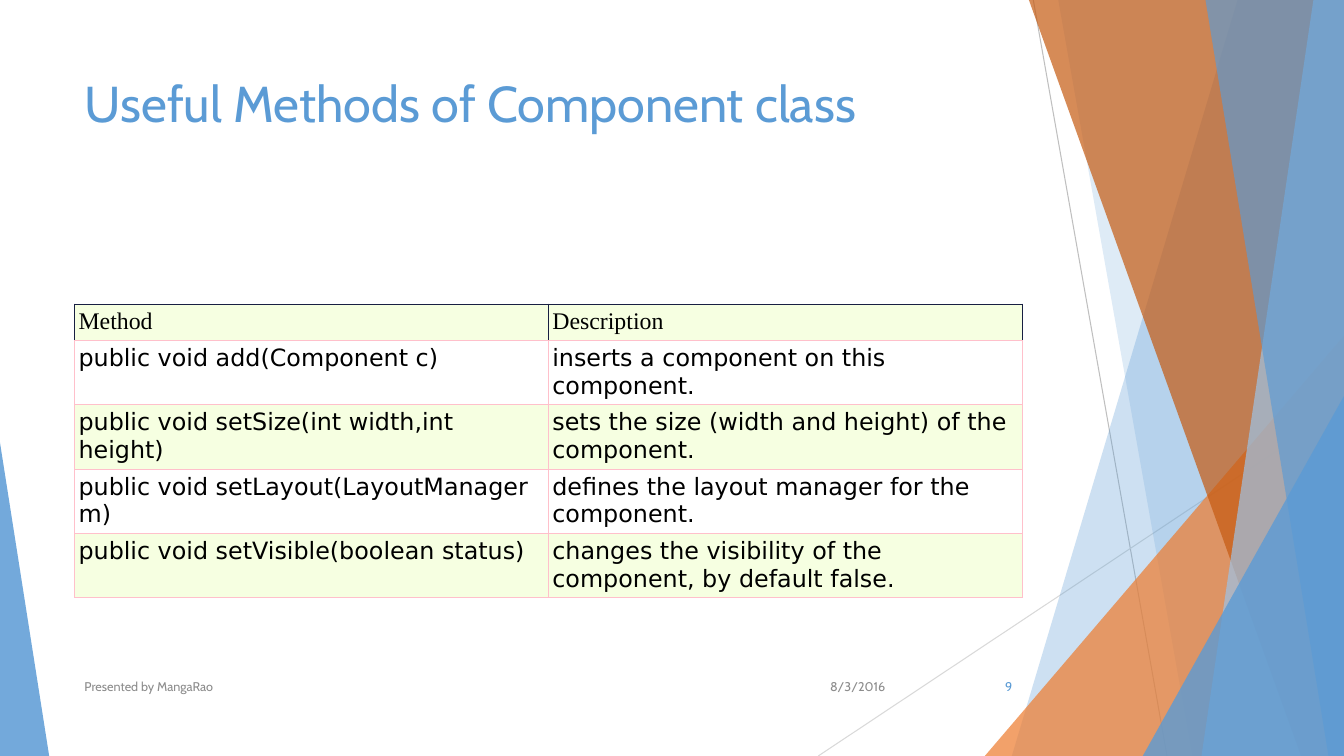
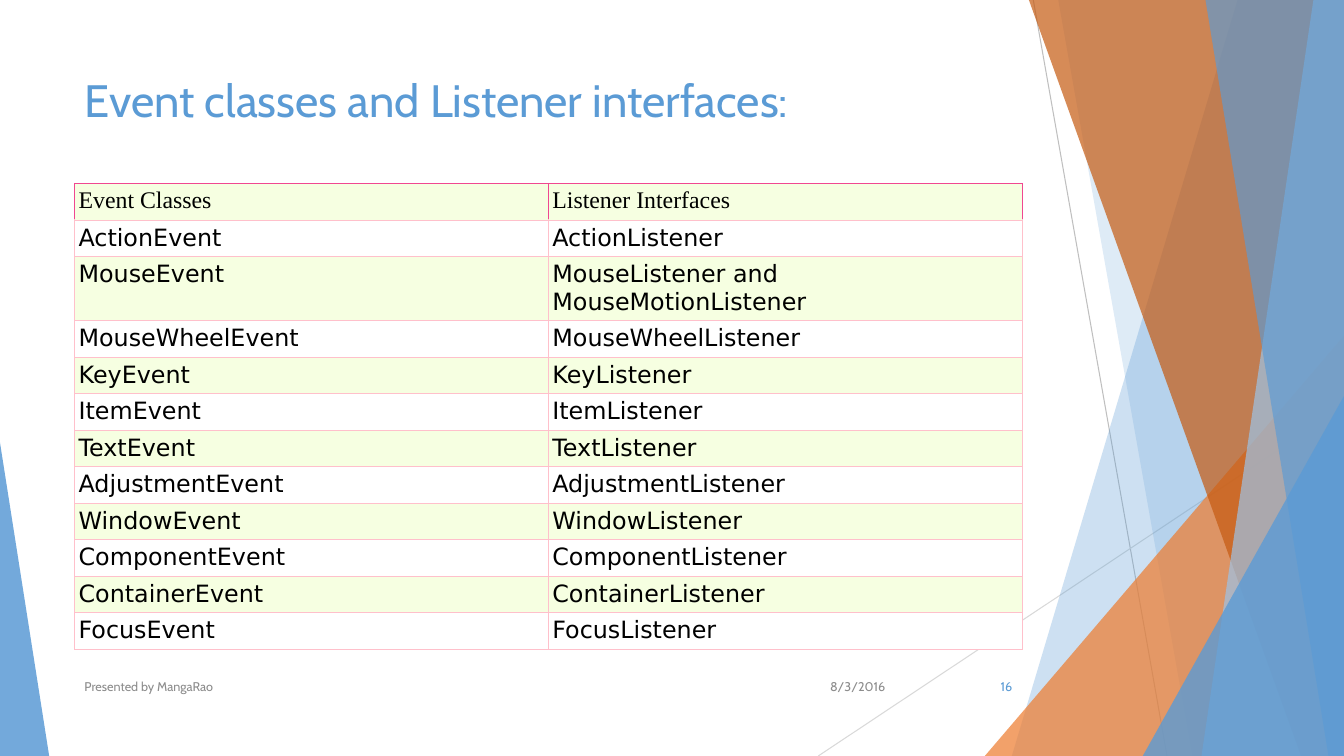
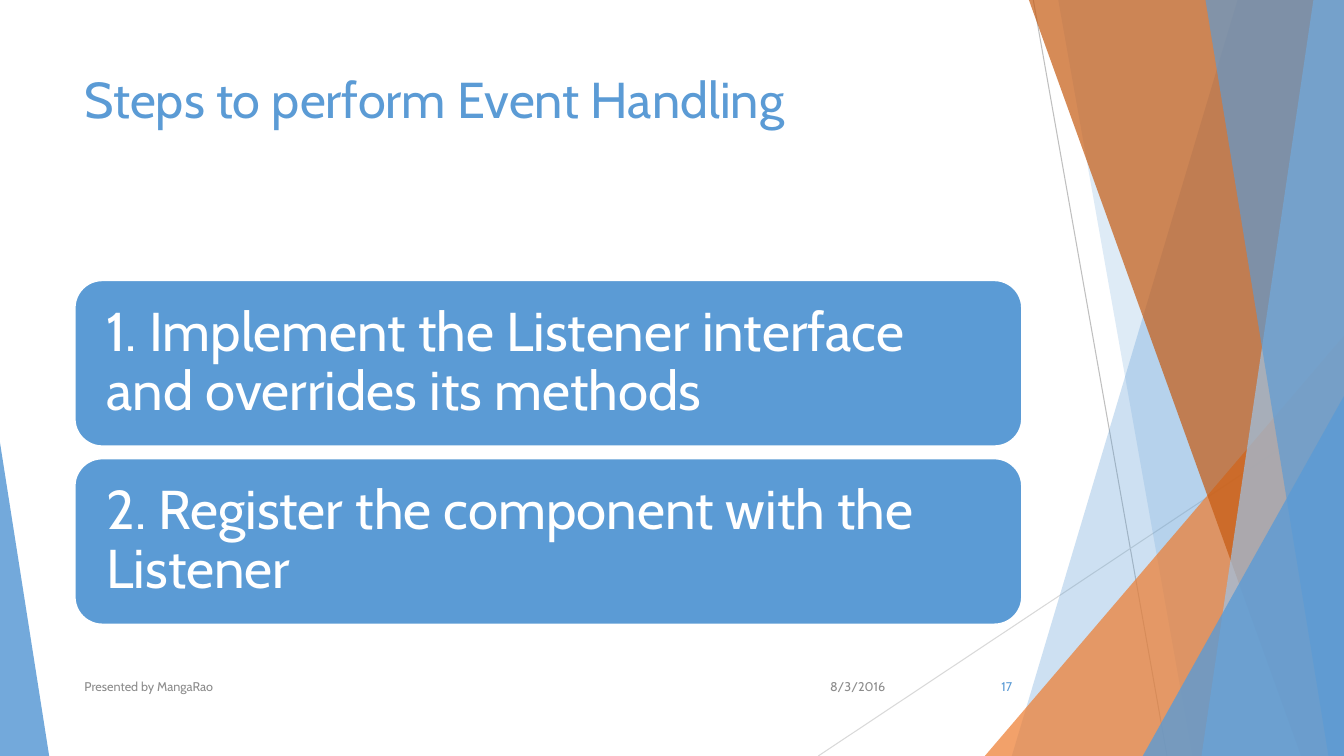
import pptx
import pptx.dml.color
import pptx.enum.shapes
import pptx.enum.text
import pptx.oxml.ns
import pptx.util
from lxml import etree

Cm = pptx.util.Cm
Pt = pptx.util.Pt
qn = pptx.oxml.ns.qn
SHAPE = pptx.enum.shapes.MSO_SHAPE
ALIGN = pptx.enum.text.PP_ALIGN
ANCHOR = pptx.enum.text.MSO_ANCHOR

COLORS = {
    "blue": "5B9BD5", "pale_blue": "9DC3E6", "orange": "ED7D31", "rust": "C55A11",
    "grey": "8C8C8C", "line": "BFBFBF", "pale_line": "D9D9D9",
    "black": "000000", "white": "FFFFFF", "lime": "F6FFE1",
    "pink": "FFC0CB", "navy": "181F42", "magenta": "F04791",
}
HEAD_FONT, CODE_FONT, SERIF = "Cabin", "DejaVu Sans", "Times New Roman"
WIDTH, HEIGHT = 33.87, 19.05
LEFT, CONTENT_W = 1.88, 23.88
ROW_H, TALL_ROW_H = 0.92, 1.62


def rgb(name):
    return pptx.dml.color.RGBColor.from_string(COLORS[name])


def write(tf, text, size=9, color="black", font=HEAD_FONT, align=ALIGN.LEFT,
          anchor=None, inset=None, spacing=None):
    """Put one formatted paragraph into a text frame."""
    if anchor is not None:
        tf.word_wrap = True
        tf.auto_size = pptx.enum.text.MSO_AUTO_SIZE.NONE
        tf.vertical_anchor = anchor
    if inset is not None:
        tf.margin_left = tf.margin_right = tf.margin_top = tf.margin_bottom = Cm(inset)
    p = tf.paragraphs[0]
    p.alignment = align
    if spacing:
        p.line_spacing = spacing
    r = p.add_run()
    r.text = text
    r.font.size, r.font.name = Pt(size), font
    r.font.color.rgb = rgb(color)


def paint(sp, color, opacity=100):
    """Flat fill without outline or shadow."""
    sp.shadow.inherit = False
    sp.fill.solid()
    sp.fill.fore_color.rgb = rgb(color)
    sp.line.fill.background()
    if opacity < 100:
        clr = sp.element.spPr.find(qn("a:solidFill")).find(qn("a:srgbClr"))
        etree.SubElement(clr, qn("a:alpha"), val=str(opacity * 1000))


# Background facets
def add_ray(s, x1, y1, x2, y2, color):
    line = s.shapes.add_connector(pptx.enum.shapes.MSO_CONNECTOR.STRAIGHT,
                                  Cm(x1), Cm(y1), Cm(x2), Cm(y2))
    line.line.color.rgb = rgb(color)
    line.line.width = Pt(0.75)
    etree.SubElement(line.element.spPr, qn("a:effectLst"))


def add_slab(s, top_x, bottom_x, color, opacity):
    """Full-height facet that ends at the right edge of the slide."""
    builder = s.shapes.build_freeform(Cm(top_x), 0)
    builder.add_line_segments([(Cm(WIDTH), 0), (Cm(WIDTH), Cm(HEIGHT)),
                               (Cm(bottom_x), Cm(HEIGHT))])
    paint(builder.convert_to_shape(), color, opacity)


def add_wedge(s, left, top, right, apex, color, opacity):
    """Triangle that stands on the bottom edge of the slide."""
    sp = s.shapes.add_shape(SHAPE.ISOSCELES_TRIANGLE, Cm(left), Cm(top),
                            Cm(right - left), Cm(HEIGHT - top))
    sp.adjustments[0] = apex
    paint(sp, color, opacity)


def decorate_layout(layout, s):
    """Draw the facets on a slide, then move them to its layout."""
    for ph in list(layout.placeholders):
        if ph.placeholder_format.type != pptx.enum.shapes.PP_PLACEHOLDER.TITLE:
            layout.shapes.element.remove(ph.element)
    add_ray(s, 26.04, 0, 29.41, HEIGHT, "line")
    add_ray(s, WIDTH, 10.24, 20.62, HEIGHT, "pale_line")
    add_slab(s, 31.19, 25.5, "blue", 30)
    add_slab(s, 26.67, 30.05, "blue", 20)
    add_wedge(s, 24.82, 8.46, WIDTH, 1, "orange", 72)
    add_slab(s, 25.93, 32.79, "rust", 70)
    add_slab(s, 33.1, 30.28, "pale_blue", 70)
    add_slab(s, 30.38, 33.48, "blue", 65)
    add_wedge(s, 28.8, 9.98, WIDTH, 1, "blue", 80)
    add_wedge(s, 0, 11.15, 1.24, 0, "blue", 85)
    for sp in list(s.shapes):
        if not sp.is_placeholder:
            layout.shapes.element.append(sp.element)


# Title and footer
def add_title(s, text, top=1.7, height=3.66, size=36):
    title = s.shapes.title
    title.left, title.top = Cm(LEFT), Cm(top)
    title.width, title.height = Cm(CONTENT_W), Cm(height)
    write(title.text_frame, text, size=size, color="blue", anchor=ANCHOR.TOP)


def add_footer(s, number):
    for text, left, width, align, color in (
            ("8/3/2016", 20.02, 2.54, ALIGN.RIGHT, "grey"),
            ("Presented by MangaRao", LEFT, 17.5, ALIGN.LEFT, "grey"),
            (str(number), 23.85, 1.91, ALIGN.RIGHT, "blue")):
        box = s.shapes.add_textbox(Cm(left), Cm(16.79), Cm(width), Cm(1.02))
        write(box.text_frame, text, color=color, align=align, anchor=ANCHOR.MIDDLE)


# Tables
def set_borders(cell, edge, bottom):
    tc_pr = cell._tc.get_or_add_tcPr()
    for side, color in (("L", edge), ("R", edge), ("T", edge), ("B", bottom)):
        ln = etree.SubElement(tc_pr, qn("a:ln" + side), w=str(Pt(0.6)))
        fill = etree.SubElement(ln, qn("a:solidFill"))
        etree.SubElement(fill, qn("a:srgbClr"), val=COLORS[color])


def add_method_table(s, rows, left, top, width, head_edge, tall_rows):
    heights = [TALL_ROW_H if i in tall_rows else ROW_H for i in range(len(rows))]
    table = s.shapes.add_table(len(rows), len(rows[0]), Cm(left), Cm(top),
                               Cm(width), Cm(sum(heights))).table
    table.first_row = table.horz_banding = False
    for col in table.columns:
        col.width = Cm(width / len(rows[0]))
    for i, row in enumerate(rows):
        table.rows[i].height = Cm(heights[i])
        for j, text in enumerate(row):
            cell = table.cell(i, j)
            cell.margin_left = cell.margin_right = Cm(0.1)
            cell.margin_top = cell.margin_bottom = Cm(0.1)
            set_borders(cell, "pink" if i else head_edge, "pink")
            cell.fill.solid()
            cell.fill.fore_color.rgb = rgb("white" if i % 2 else "lime")
            write(cell.text_frame, text, size=17, font=CODE_FONT if i else SERIF)


# Step boxes
def add_steps(s, steps, left, top, width, height, gap):
    step_h = (height - gap * (len(steps) - 1)) / len(steps)
    for i, text in enumerate(steps):
        sp = s.shapes.add_shape(SHAPE.ROUNDED_RECTANGLE, Cm(left),
                                Cm(top + i * (step_h + gap)), Cm(width), Cm(step_h))
        paint(sp, "blue")
        sp.line.color.rgb = rgb("white")
        sp.line.width = Pt(1.5)
        write(sp.text_frame, text, size=39, color="white", anchor=ANCHOR.MIDDLE,
              inset=0.6, spacing=0.9)


METHODS = [
    ("Method", "Description"),
    ("public void add(Component c)", "inserts a component on this component."),
    ("public void setSize(int width,int height)",
     "sets the size (width and height) of the component."),
    ("public void setLayout(LayoutManager m)",
     "defines the layout manager for the component."),
    ("public void setVisible(boolean status)",
     "changes the visibility of the component, by default false."),
]
LISTENERS = [
    ("Event Classes", "Listener Interfaces"),
    ("ActionEvent", "ActionListener"),
    ("MouseEvent", "MouseListener and MouseMotionListener"),
    ("MouseWheelEvent", "MouseWheelListener"),
    ("KeyEvent", "KeyListener"),
    ("ItemEvent", "ItemListener"),
    ("TextEvent", "TextListener"),
    ("AdjustmentEvent", "AdjustmentListener"),
    ("WindowEvent", "WindowListener"),
    ("ComponentEvent", "ComponentListener"),
    ("ContainerEvent", "ContainerListener"),
    ("FocusEvent", "FocusListener"),
]
STEPS = [
    "1. Implement the Listener interface and overrides its methods",
    "2. Register the component with the Listener",
]


def main():
    prs = pptx.Presentation()
    prs.slide_width, prs.slide_height = Cm(WIDTH), Cm(HEIGHT)
    layout = prs.slide_layouts[5]

    # Component methods
    s = prs.slides.add_slide(layout)
    decorate_layout(layout, s)
    add_title(s, "Useful Methods of Component class")
    add_method_table(s, METHODS, LEFT, 7.66, CONTENT_W, "navy", tall_rows=range(1, 5))
    add_footer(s, 9)

    # Event classes
    s = prs.slides.add_slide(layout)
    add_title(s, "Event classes and Listener interfaces:", height=1.6, size=32.4)
    add_method_table(s, LISTENERS, LEFT, 4.62, CONTENT_W, "magenta", tall_rows=[2])
    add_footer(s, 16)

    # Event handling steps
    s = prs.slides.add_slide(layout)
    add_title(s, "Steps to perform Event Handling", top=1.6)
    add_steps(s, STEPS, LEFT, 7.06, CONTENT_W, 8.68, gap=0.3)
    add_footer(s, 17)

    prs.save("out.pptx")


if __name__ == "__main__":
    main()
